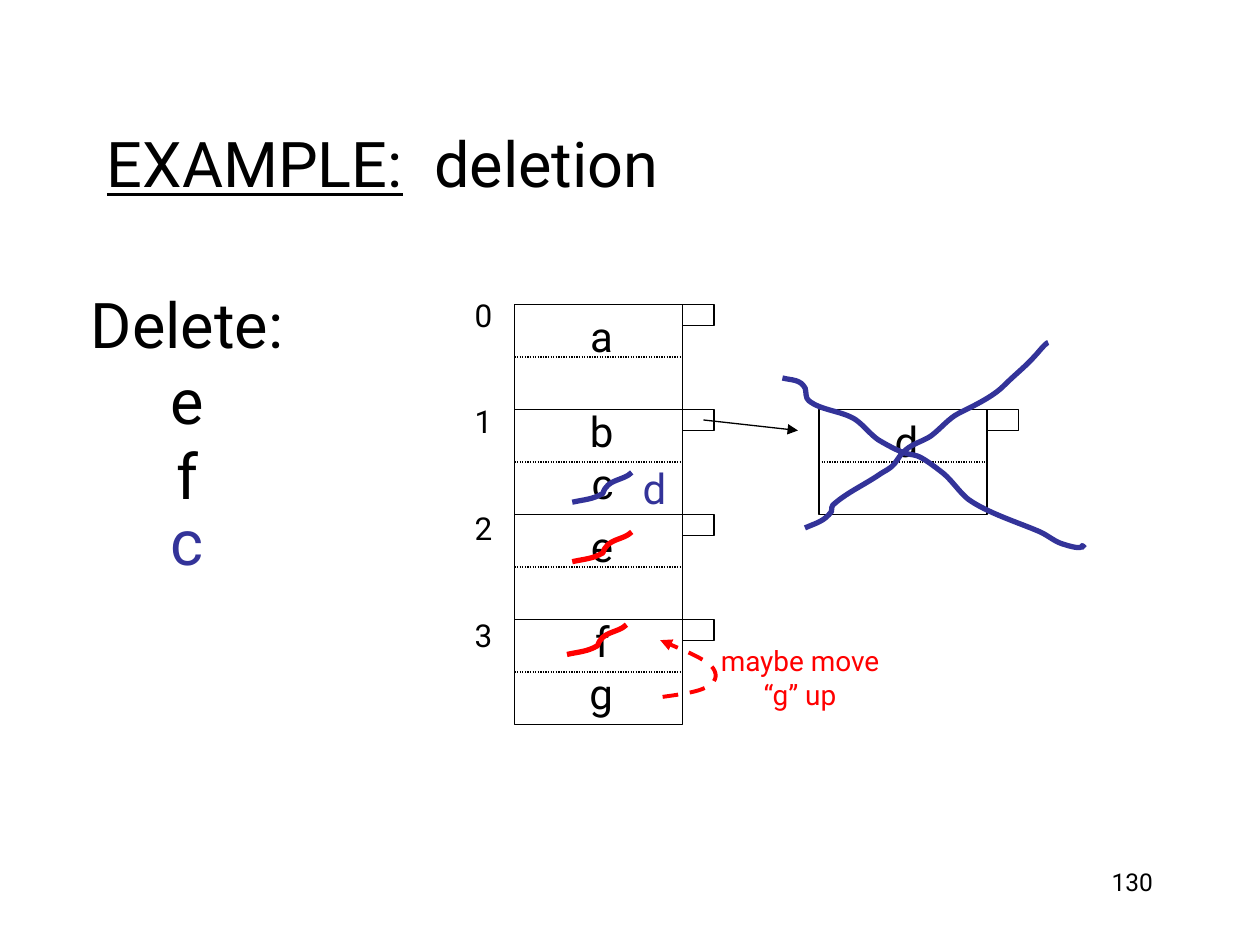
from dataclasses import dataclass

from lxml import etree
import pptx
from pptx import slide as s
from pptx import util as u
from pptx.dml import color as c
from pptx.enum import dml, shapes, text
from pptx.oxml import ns

BLACK = c.RGBColor(0, 0, 0)
WHITE = c.RGBColor(255, 255, 255)
RED = c.RGBColor(255, 0, 0)
BLUE = c.RGBColor(0x33, 0x33, 0x99)
FONT = "Roboto"
CENTER = text.PP_ALIGN.CENTER
MIDDLE = text.MSO_ANCHOR.MIDDLE

BUCKET_LEFT, BUCKET_TOP = 294, 174
BUCKET_WIDTH, BUCKET_HEIGHT = 96, 60
POINTER_WIDTH, POINTER_HEIGHT = 18, 12

Point = tuple[float, float]


@dataclass
class Label:
    wording: str
    left: float
    top: float
    width: float
    height: float
    size: float = 24
    color: c.RGBColor = BLACK
    align: text.PP_ALIGN = CENTER
    anchor: text.MSO_ANCHOR = MIDDLE
    wrap: bool = False
    gap: float = 0


@dataclass
class Stroke:
    controls: list[Point]
    color: c.RGBColor
    left: float = 0
    top: float = 0
    width: float = 3
    dashed_arrow: bool = False


STRIKE = [(0, 17), (6.5, 15.5), (11.5, 15.5), (17.5, 12), (20, 3.5), (29, 5), (34, 0)]
MOVE_UP = [
    (378.7, 398.2), (389.5, 396.7), (400.3, 395.3), (405.4, 391.7), (409.7, 388.8),
    (410.4, 384.5), (406.1, 380.2), (401, 375.8), (388.8, 370.8), (377.3, 365.8),
]
CROSS_RISING = [
    (460, 301.7), (466.6, 298.8), (470.9, 298.1), (475.2, 292.3),
    (475.2, 290.9), (475.2, 289.4), (475.9, 288.7),
    (483.8, 281.5), (493.9, 277.2), (503.3, 270.7),
    (505.4, 269.3), (509, 267.8), (511.2, 265),
    (513.4, 262.1), (514.8, 259.2), (517.7, 257),
    (522, 253.4), (527.8, 252), (532.1, 249.1),
    (537.8, 244.8), (542.2, 239), (547.9, 236.2),
    (556.6, 231.8), (567.4, 226.8), (573.8, 220.3),
    (580.3, 213.8), (586.1, 209.5), (591.8, 203),
    (592.6, 202.3), (597.6, 195.8), (599, 195.8),
]
CROSS_FALLING = [
    (447.1, 216), (452.9, 217.4), (457.2, 216.7), (460.1, 221.8),
    (460.8, 223.9), (460.1, 227.5), (462.2, 229),
    (469.4, 234.7), (481, 234.7), (488.9, 239.8),
    (493.9, 243.4), (496.8, 247.7), (501.8, 251.3),
    (528.5, 267.1), (515.5, 252), (539.3, 270.7),
    (544.3, 275), (547.9, 280.8), (553, 285.1),
    (563.8, 293), (582.5, 298.8), (594, 303.8),
    (599, 306), (602.6, 309.6), (607.7, 311),
    (623.5, 316.1), (615.6, 308.9), (619.9, 313.2),
]

LABELS = [
    Label("130", 516, 492, 150, 36, 14, align=text.PP_ALIGN.RIGHT,
          anchor=text.MSO_ANCHOR.TOP, wrap=True),
    Label("0\n1\n2\n3", 264, 166.3, 24.5, 210, 18, gap=39.5),
    Label("a", 330, 174, 27.5, 36),
    Label("b", 329.3, 228, 29, 36),
    Label("c", 331, 258, 26, 36),
    Label("e", 330, 294, 28, 36),
    Label("f", 333, 348, 22, 36),
    Label("g", 329, 378, 29, 36),
    Label("d", 503.5, 234, 29, 36),
    Label("d", 359.5, 260.5, 29, 36, color=BLUE),
    Label("Delete:\ve\vf", 40.5, 159.5, 133, 137, 36),
    Label("c", 90.4, 283.8, 32, 50, 36, BLUE),
    Label("maybe move\n“g” up", 401.7, 364, 111, 46, 16, RED),
]

STROKES = [
    Stroke(STRIKE, RED, 327, 304),
    Stroke(STRIKE, RED, 324, 357),
    Stroke(MOVE_UP, RED, width=2.25, dashed_arrow=True),
    Stroke(STRIKE, BLUE, 327, 270),
    Stroke(CROSS_RISING, BLUE),
    Stroke(CROSS_FALLING, BLUE),
]


def add_label(slide: s.Slide, label: Label):
    box = slide.shapes.add_textbox(
        u.Pt(label.left), u.Pt(label.top), u.Pt(label.width), u.Pt(label.height))
    frame = box.text_frame
    frame.text = label.wording
    frame.word_wrap = label.wrap
    frame.vertical_anchor = label.anchor
    if not label.wrap:
        frame.auto_size = text.MSO_AUTO_SIZE.SHAPE_TO_FIT_TEXT
    for index, paragraph in enumerate(frame.paragraphs):
        paragraph.alignment = label.align
        paragraph.font.size = u.Pt(label.size)
        if index and label.gap:
            paragraph.space_before = u.Pt(label.gap)
        for run in paragraph.runs:
            format_run(run, label.size, label.color)
    return box


def format_run(run, size: float, color: c.RGBColor) -> None:
    run.font.name = FONT
    run.font.size = u.Pt(size)
    run.font.color.rgb = color


def add_title(slide: s.Slide) -> None:
    title = Label("EXAMPLE:", 54, 48, 612, 90, 36, align=text.PP_ALIGN.LEFT, wrap=True)
    paragraph = add_label(slide, title).text_frame.paragraphs[0]
    paragraph.runs[0].font.underline = True
    run = paragraph.add_run()
    run.text = "  deletion"
    format_run(run, title.size, title.color)


def add_rectangle(slide: s.Slide, left: float, top: float, width: float, height: float):
    shape = slide.shapes.add_shape(
        shapes.MSO_SHAPE.RECTANGLE, u.Pt(left), u.Pt(top), u.Pt(width), u.Pt(height))
    shape.shadow.inherit = False
    shape.fill.solid()
    shape.fill.fore_color.rgb = WHITE
    shape.line.color.rgb = BLACK
    shape.line.width = u.Pt(0.75)
    return shape


def add_line(slide: s.Slide, start: Point, end: Point):
    connector = slide.shapes.add_connector(
        shapes.MSO_CONNECTOR.STRAIGHT, *map(u.Pt, start), *map(u.Pt, end))
    connector.line.color.rgb = BLACK
    connector.line.width = u.Pt(0.75)
    etree.SubElement(connector.element.spPr, ns.qn("a:effectLst"))
    return connector


def add_arrowhead(shape) -> None:
    outline = shape.element.spPr.find(ns.qn("a:ln"))
    etree.SubElement(outline, ns.qn("a:tailEnd"), type="triangle")


def add_bucket(slide: s.Slide, left: float, top: float) -> None:
    bucket = add_rectangle(slide, left, top, BUCKET_WIDTH, BUCKET_HEIGHT)
    add_rectangle(slide, left + BUCKET_WIDTH, top, POINTER_WIDTH, POINTER_HEIGHT)
    middle = top + BUCKET_HEIGHT / 2
    divider = add_line(slide, (left, middle), (left + BUCKET_WIDTH, middle))
    divider.line.dash_style = dml.MSO_LINE.ROUND_DOT
    divider.begin_connect(bucket, 1)
    divider.end_connect(bucket, 3)


def bend_segments(shape) -> None:
    segments = list(shape.element.spPr.iter(ns.qn("a:lnTo")))
    outline = segments[0].getparent()
    for first in range(0, len(segments), 3):
        curve = etree.SubElement(outline, ns.qn("a:cubicBezTo"))
        for segment in segments[first:first + 3]:
            curve.append(segment[0])
            outline.remove(segment)


def add_stroke(slide: s.Slide, stroke: Stroke) -> None:
    points = [(u.Pt(x + stroke.left), u.Pt(y + stroke.top)) for x, y in stroke.controls]
    builder = slide.shapes.build_freeform(*points[0])
    builder.add_line_segments(points[1:], close=False)
    shape = builder.convert_to_shape()
    bend_segments(shape)
    shape.shadow.inherit = False
    shape.fill.background()
    shape.line.color.rgb = stroke.color
    shape.line.width = u.Pt(stroke.width)
    if stroke.dashed_arrow:
        shape.line.dash_style = dml.MSO_LINE.DASH
        add_arrowhead(shape)


def main() -> None:
    presentation = pptx.Presentation()
    presentation.slide_width, presentation.slide_height = u.Pt(720), u.Pt(540)
    slide = presentation.slides.add_slide(presentation.slide_layouts[6])
    for index in range(4):
        add_bucket(slide, BUCKET_LEFT, BUCKET_TOP + index * BUCKET_HEIGHT)
    add_bucket(slide, 468, BUCKET_TOP + BUCKET_HEIGHT)
    add_arrowhead(add_line(slide, (402, 240), (456, 246)))
    add_title(slide)
    for label in LABELS:
        add_label(slide, label)
    for stroke in STROKES:
        add_stroke(slide, stroke)
    presentation.save("out.pptx")


if __name__ == "__main__":
    main()
